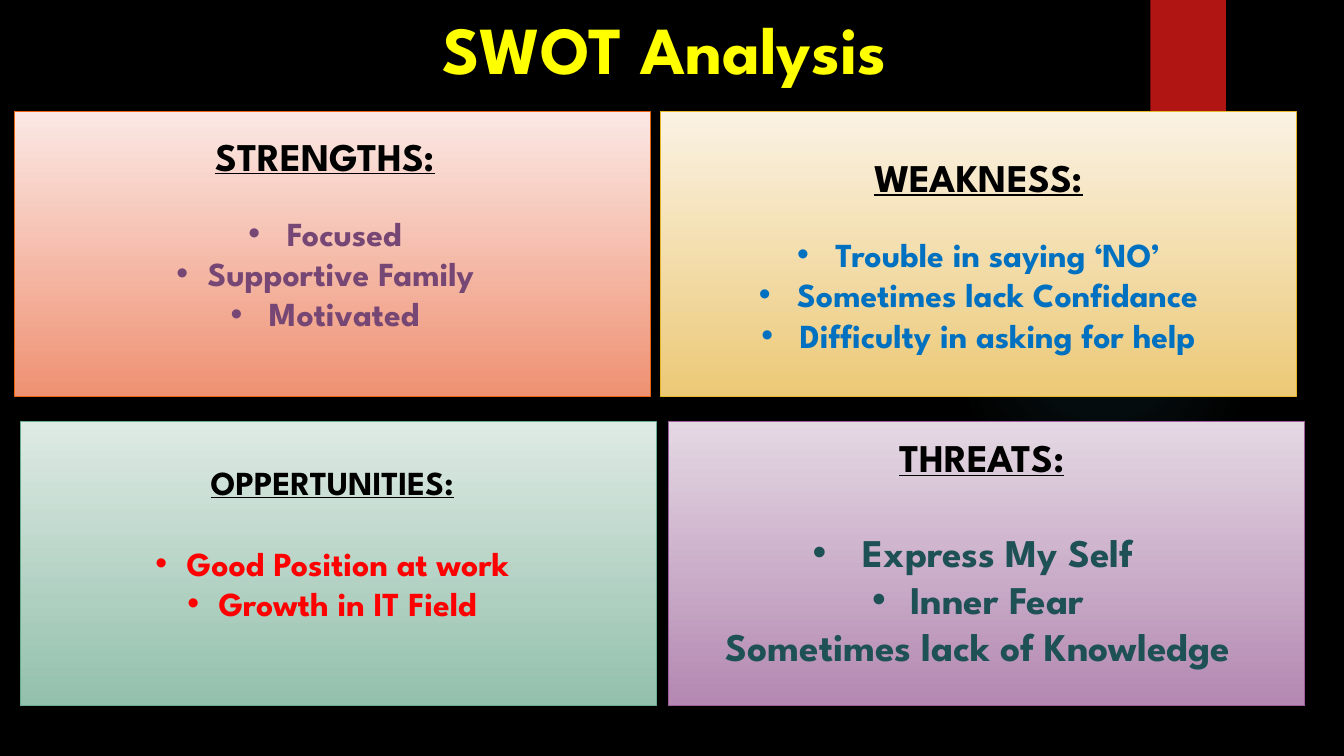
"""Build a SWOT analysis slide with four gradient panels."""
from lxml import etree
from pptx import Presentation
from pptx import util as u
from pptx.dml.color import RGBColor
from pptx.enum import shapes, text
from pptx.oxml import parse_xml
from pptx.oxml.ns import qn

PX = 9144
FONT = "League Spartan"
TITLE = ("SWOT Analysis", 48, "FFFF00")
TITLE_BOX = (359, 2, 600, 110)
GLOW_BOX = (941, 183, 308, 308)
GLOW_COLOR, GLOW_STOPS = "50B9C1", [(0, 7), (36, 6), (69, 0)]
RIBBON_BOX, RIBBON_COLOR = (1141, 0, 75, 125), "B01513"
PANEL_SIZE = (631, 282)

PANELS = [
    dict(at=(14, 111), colors=("FBE8E4", "EF9173"), line="EA6312",
         text_box=(14, 126, 617, 212), heading=("STRENGTHS:", 28, 0), gap=24,
         size=24, color="764674",
         items=[("Focused", 38), ("Supportive Family", 31), ("Motivated", 38)]),
    dict(at=(655, 111), colors=("FAF2E3", "ECC977"), line="E6B729",
         text_box=None, heading=("WEAKNESS:", 28, 0), gap=24,
         size=24, color="0070C0",
         items=[("Trouble in saying ‘NO’", 38), ("Sometimes lack Confidance", 38),
                ("Difficulty in asking for help", 38)]),
    dict(at=(20, 418), colors=("DEEAE4", "93C0AC"), line="6AAC90",
         text_box=(25, 453, 609, 172), heading=("OPPERTUNITIES:", 24, 0), gap=29,
         size=24, color="FF0000",
         items=[("Good Position at work", 31), ("Growth in IT Field", 31)]),
    dict(at=(663, 418), colors=("E4D8E3", "B488B2"), line="9E5E9B",
         text_box=(665, 425, 610, 246), heading=("THREATS:", 28, 8), gap=34,
         size=28, color="1E5155",
         items=[("Express My Self ", 50), ("Inner Fear", 38),
                ("Sometimes lack of Knowledge", 0)]),
]


def rgb(value):
    return RGBColor.from_string(value)


def emu(*lengths):
    return [length * PX for length in lengths]


def add_block(page, kind, box):
    shape = page.shapes.add_shape(kind, *emu(*box))
    shape.shadow.inherit = False
    shape.line.fill.background()
    return shape


def add_glow(page):
    glow = add_block(page, shapes.MSO_SHAPE.OVAL, GLOW_BOX)
    stops = "".join(
        f'<a:gs pos="{pos * 1000}"><a:srgbClr val="{GLOW_COLOR}">'
        f'<a:alpha val="{alpha * 1000}"/></a:srgbClr></a:gs>'
        for pos, alpha in GLOW_STOPS)
    gradient = parse_xml(
        '<a:gradFill xmlns:a="http://schemas.openxmlformats.org/drawingml/2006/main">'
        f'<a:gsLst>{stops}</a:gsLst><a:path path="circle">'
        '<a:fillToRect l="50000" t="50000" r="50000" b="50000"/></a:path></a:gradFill>')
    glow._element.spPr.find(qn("a:prstGeom")).addnext(gradient)


def add_text_box(page, box):
    text_box = page.shapes.add_textbox(*emu(*box))
    text_box.text_frame.word_wrap = True
    return text_box


def write(para, words, size, color, underline=False):
    para.alignment = text.PP_ALIGN.CENTER
    span = para.add_run()
    span.text = words
    span.font.name = FONT
    span.font.size = u.Pt(size)
    span.font.bold = True
    span.font.underline = underline
    span.font.color.rgb = rgb(color)


def indent(para, left, first=0):
    props = para._p.get_or_add_pPr()
    props.set("marL", str(left * PX))
    props.set("indent", str(first * PX))
    return props


def add_bullet(para, hang):
    props = indent(para, hang, -hang)
    etree.SubElement(props, qn("a:buFont")).set("typeface", "Arial")
    etree.SubElement(props, qn("a:buChar")).set("char", "•")


def add_panel(page, panel):
    shape = add_block(page, shapes.MSO_SHAPE.RECTANGLE, panel["at"] + PANEL_SIZE)
    shape.fill.gradient()
    shape.fill.gradient_angle = 270
    for stop, color in zip(shape.fill.gradient_stops, panel["colors"]):
        stop.color.rgb = rgb(color)
    shape.line.color.rgb = rgb(panel["line"])
    shape.line.width = u.Pt(0.75)
    return shape


def fill_text(frame, panel):
    words, size, shift = panel["heading"]
    para = frame.paragraphs[0]
    write(para, words, size, "000000", underline=True)
    para.space_after = u.Pt(panel["gap"])
    if shift:
        indent(para, shift)
    for words, hang in panel["items"]:
        para = frame.add_paragraph()
        write(para, words, panel["size"], panel["color"])
        if hang:
            add_bullet(para, hang)


def main():
    deck = Presentation()
    deck.slide_width, deck.slide_height = u.Inches(13.33), u.Inches(7.5)
    page = deck.slides.add_slide(deck.slide_layouts[6])
    page.background.fill.solid()
    page.background.fill.fore_color.rgb = rgb("000000")
    add_glow(page)
    ribbon = add_block(page, shapes.MSO_SHAPE.RECTANGLE, RIBBON_BOX)
    ribbon.fill.solid()
    ribbon.fill.fore_color.rgb = rgb(RIBBON_COLOR)
    write(add_text_box(page, TITLE_BOX).text_frame.paragraphs[0], *TITLE)

    panel_shapes = [add_panel(page, panel) for panel in PANELS]
    for panel, shape in zip(PANELS, panel_shapes):
        if panel["text_box"]:
            shape = add_text_box(page, panel["text_box"])
            shape.text_frame.auto_size = text.MSO_AUTO_SIZE.SHAPE_TO_FIT_TEXT
        else:
            shape.text_frame.vertical_anchor = text.MSO_ANCHOR.MIDDLE
        fill_text(shape.text_frame, panel)
    deck.save("out.pptx")


if __name__ == "__main__":
    main()
